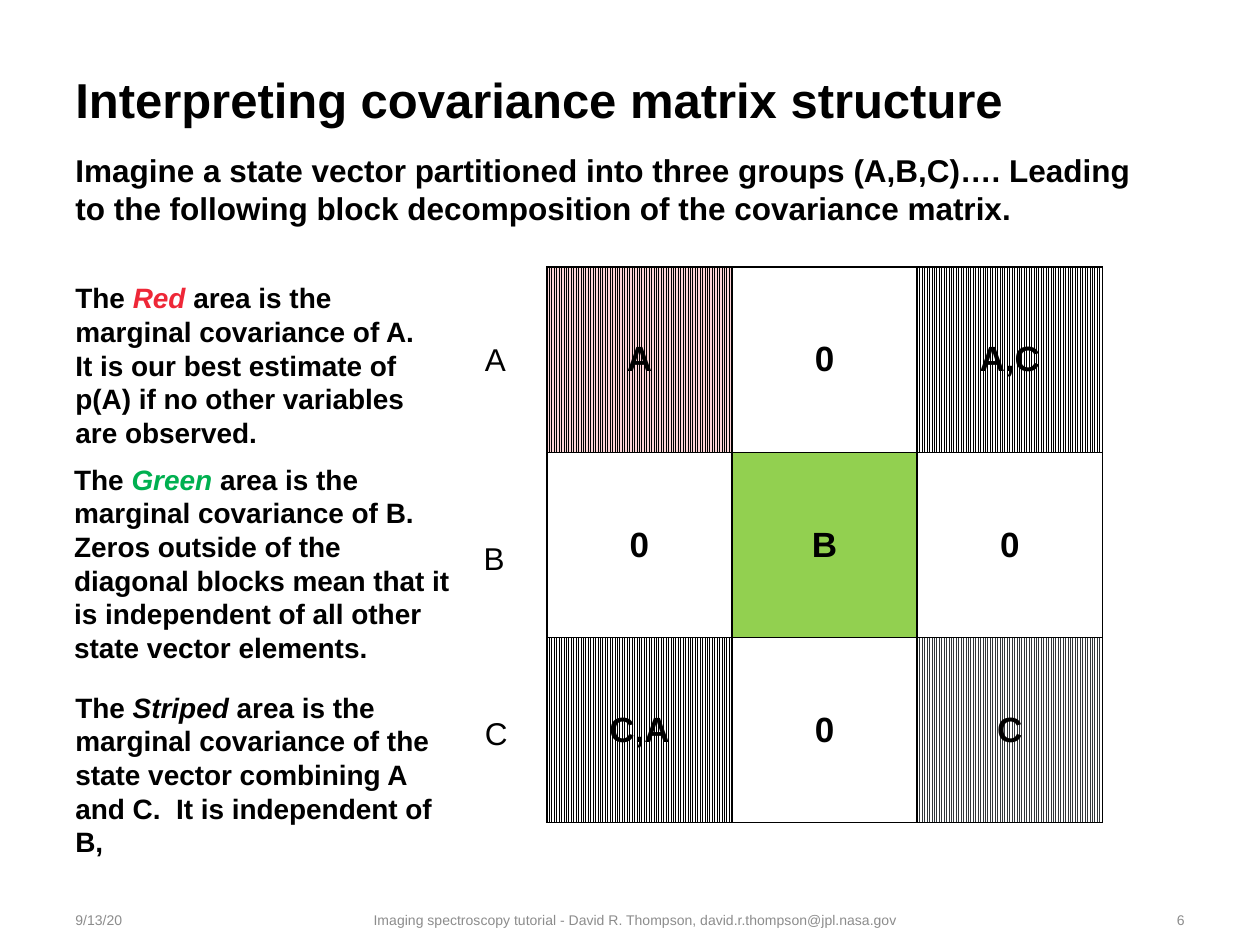
from lxml import etree
from pptx import Presentation
from pptx.dml.color import RGBColor
from pptx.enum.dml import MSO_PATTERN
from pptx.enum.text import MSO_ANCHOR, PP_ALIGN
from pptx.oxml.ns import qn
from pptx.util import Inches, Pt

BLACK = RGBColor(0x00, 0x00, 0x00)
WHITE = RGBColor(0xFF, 0xFF, 0xFF)
GRAY = RGBColor(0x8C, 0x8C, 0x8C)
RED = RGBColor(0xEE, 0x27, 0x37)
PINK = RGBColor(0xFC, 0xD4, 0xD7)
GREEN = RGBColor(0x00, 0xB0, 0x50)
LIME = RGBColor(0x92, 0xD0, 0x50)
SLATE = RGBColor(0x32, 0x37, 0x3B)


def add_runs(para, runs, **base):
    """Append (text, font overrides) pairs to a paragraph."""
    for text, overrides in runs:
        span = para.add_run()
        span.text = text
        font = {"name": "Arial", "color": BLACK, **base, **overrides}
        span.font.color.rgb = font.pop("color")
        for name, value in font.items():
            setattr(span.font, name, value)


def add_text(place, runs, align=PP_ALIGN.LEFT, anchor=MSO_ANCHOR.TOP, wrap=True, **base):
    box = page.shapes.add_textbox(*[Inches(length) for length in place])
    frame = box.text_frame
    frame.word_wrap = wrap
    frame.vertical_anchor = anchor
    frame.paragraphs[0].alignment = align
    add_runs(frame.paragraphs[0], runs, **base)


deck = Presentation()
deck.slide_width, deck.slide_height = Inches(10), Inches(7.5)
page = deck.slides.add_slide(deck.slide_layouts[6])

# Footer
for left, width, text, align in [
    (0.5, 1.48, "9/13/20", PP_ALIGN.LEFT),
    (2.06, 5.97, "Imaging spectroscopy tutorial - David R. Thompson, "
                 "david.r.thompson@jpl.nasa.gov", PP_ALIGN.CENTER),
    (8.11, 1.39, "6", PP_ALIGN.RIGHT),
]:
    add_text((left, 7.1, width, 0.4), [(text, {})], align, MSO_ANCHOR.MIDDLE,
             size=Pt(8), color=GRAY)

# Title and introduction
add_text((0.5, 0.5, 9, 0.48), [("Interpreting covariance matrix structure", {})],
         size=Pt(28), bold=True)
add_text((0.5, 1.15, 8.81, 0.71),
         [("Imagine a state vector partitioned into three groups (A,B,C)…. Leading to the "
           "following block decomposition of the covariance matrix.", {})],
         size=Pt(18), bold=True)

# Covariance matrix
labels = [["A", "0", "A,C"], ["0", "B", "0"], ["C,A", "0", "C"]]
stripes = {"A": (BLACK, PINK), "A,C": (BLACK, WHITE), "C,A": (BLACK, WHITE), "C": (SLATE, WHITE)}
matrix = page.shapes.add_table(3, 3, Inches(4.34), Inches(2.12), Inches(4.4), Inches(4.4)).table
matrix.first_row = matrix.horz_banding = False
for line in [*matrix.columns]:
    line.width = Inches(1.47)
for line in matrix.rows:
    line.height = Inches(1.47)

for row, texts in enumerate(labels):
    for column, text in enumerate(texts):
        cell = matrix.cell(row, column)
        cell.vertical_anchor = MSO_ANCHOR.MIDDLE
        para = cell.text_frame.paragraphs[0]
        para.alignment = PP_ALIGN.CENTER
        add_runs(para, [(text, {})], size=Pt(20), bold=True)
        properties = cell._tc.get_or_add_tcPr()
        for side in ("a:lnL", "a:lnR", "a:lnT", "a:lnB"):
            border = etree.SubElement(properties, qn(side), w=str(Pt(1)))
            fill = etree.SubElement(border, qn("a:solidFill"))
            etree.SubElement(fill, qn("a:srgbClr"), val=str(BLACK))
        if text in stripes:
            cell.fill.patterned()
            cell.fill.pattern = MSO_PATTERN.LIGHT_VERTICAL
            cell.fill.fore_color.rgb, cell.fill.back_color.rgb = stripes[text]
        elif text == "B":
            cell.fill.solid()
            cell.fill.fore_color.rgb = LIME
        else:
            cell.fill.background()

# Row labels
for left, top, group in [(3.75, 2.65, "A"), (3.74, 4.23, "B"), (3.75, 5.62, "C")]:
    add_text((left, top, 0.37, 0.4), [(group, {})], wrap=False, size=Pt(18))

# Explanations
for place, keyword, color, explanation in [
    ((0.5, 2.18, 3.12, 1.45), "Red ", RED,
     "area is the marginal covariance of A.  It is our best estimate of p(A) "
     "if no other variables are observed."),
    ((0.49, 3.62, 3.26, 1.72), "Green ", GREEN,
     "area is the marginal covariance of B.  Zeros outside of the diagonal blocks mean "
     "that it is independent of all other state vector elements."),
    ((0.5, 5.43, 3.26, 1.45), "Striped ", BLACK,
     "area is the marginal covariance of the state vector combining A and C.  "
     "It is independent of B,"),
]:
    add_text(place, [("The ", {}), (keyword, {"color": color, "italic": True}), (explanation, {})],
             size=Pt(16), bold=True)

deck.save("out.pptx")
